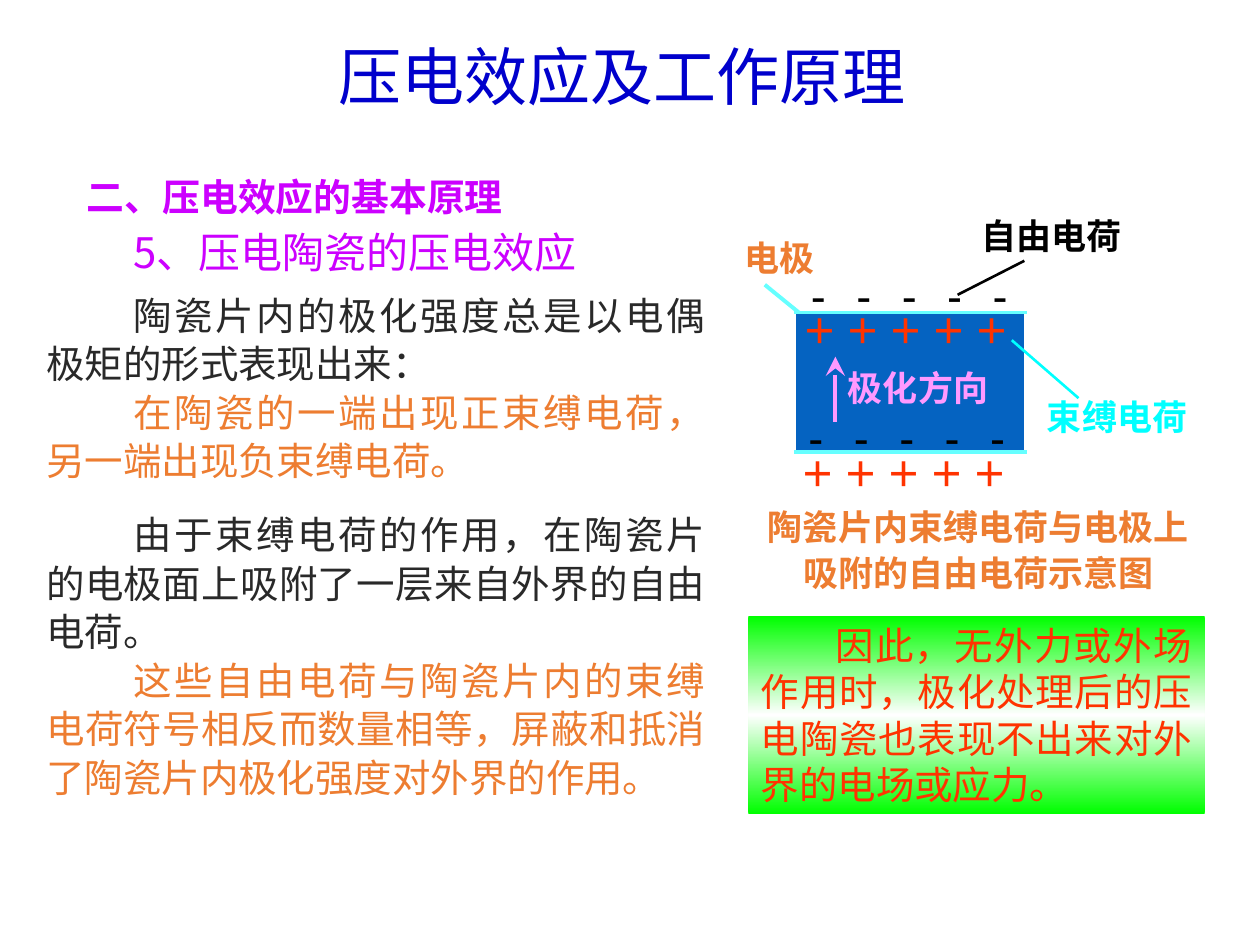
from copy import deepcopy
from dataclasses import dataclass

from lxml.etree import SubElement
from pptx import Presentation
from pptx.dml.color import RGBColor
from pptx.enum.shapes import MSO_CONNECTOR, MSO_SHAPE
from pptx.enum.text import MSO_ANCHOR, MSO_AUTO_SIZE, PP_ALIGN as Align
from pptx.oxml.ns import qn
from pptx.util import Pt

PX = 9144  # EMU per px, 100 px to the inch


@dataclass(frozen=True)
class Theme:
    sans: str = "Noto Sans CJK SC"
    serif: str = "Times New Roman"
    banner: str = "0000CC"
    heading: str = "CC00FF"
    ink: str = "292929"
    accent: str = "ED7D31"
    red: str = "FF3300"
    black: str = "000000"
    white: str = "FFFFFF"
    ceramic: str = "0563C1"
    electrode: str = "66FFFF"
    bound: str = "00FFFF"
    polar: str = "FF99FF"
    green: str = "00FF00"
    banner_size: float = 36
    section_size: float = 21.6
    topic_size: float = 24
    body_size: float = 22
    label_size: float = 20
    charge_size: float = 24


THEME = Theme()


def emu(*lengths):
    return [length * PX for length in lengths]


def rgb(color):
    return RGBColor.from_string(color)


def fill_frame(frame, lines, size, font, bold=None, align=Align.LEFT,
               indent=0, spacing=None, tracking=0):
    """Write (text, color) lines in one style; tracking is points added per letter."""
    frame.word_wrap = True
    for i, (text, color) in enumerate(lines):
        para = frame.paragraphs[0] if i == 0 else frame.add_paragraph()
        para.alignment = align
        para.line_spacing = spacing
        props = para._p.get_or_add_pPr()
        props.set("marL", "0")
        props.set("indent", str(indent * PX))
        run = para.add_run()
        run.text = text
        run.font.size, run.font.bold, run.font.name = Pt(size), bold, font
        run.font.color.rgb = rgb(color)
        run_props = run._r.get_or_add_rPr()
        if tracking:
            run_props.set("spc", str(tracking * 100))
        if font == THEME.sans:
            SubElement(run_props, qn("a:ea"), typeface=font)


def add_text(slide, box, lines, size, font, inset=True, **style):
    frame = slide.shapes.add_textbox(*emu(*box)).text_frame
    if not inset:
        frame.margin_left = frame.margin_right = 0
        frame.margin_top = frame.margin_bottom = 0
    fill_frame(frame, lines, size, font, **style)


def add_line(slide, start, end, color, width, arrow=False):
    line = slide.shapes.add_connector(MSO_CONNECTOR.STRAIGHT, *emu(*start, *end))
    line.line.color.rgb = rgb(color)
    line.line.width = Pt(width)
    if arrow:
        SubElement(line.line._get_or_add_ln(), qn("a:tailEnd"),
                   type="stealth", w="lg", len="lg")
    SubElement(line._element.spPr, qn("a:effectLst"))


def add_rect(slide, box):
    rect = slide.shapes.add_shape(MSO_SHAPE.RECTANGLE, *emu(*box))
    rect.shadow.inherit = False
    return rect


def headings(slide, x, y):
    add_text(slide, (x + 71, y, 803, 70), [("压电效应及工作原理 ", THEME.banner)],
             THEME.banner_size, THEME.serif, align=Align.CENTER)
    section = slide.shapes.title
    section.left, section.top, section.width, section.height = emu(x + 32, y + 114, 898, 39)
    frame = section.text_frame
    frame.auto_size = MSO_AUTO_SIZE.NONE
    frame.vertical_anchor = MSO_ANCHOR.MIDDLE
    fill_frame(frame, [("二、压电效应的基本原理", THEME.heading)], THEME.section_size,
               THEME.sans, bold=True, spacing=0.85)
    add_text(slide, (x, y + 144, 575, 56), [("5、压电陶瓷的压电效应", THEME.heading)],
             THEME.topic_size, THEME.sans, align=Align.JUSTIFY, indent=69, spacing=1.15)


def explanation(slide, box, fact, consequence):
    add_text(slide, box, [(fact, THEME.ink), (consequence, THEME.accent)],
             THEME.body_size, THEME.sans, align=Align.JUSTIFY, indent=69, spacing=1.05)


def charge_diagram(slide, x, y):
    """Polarised ceramic plate between two electrodes, with its charges."""
    def at(dx, dy):
        return x + dx, y + dy

    def label(dx, dy, width, height, text, color):
        add_text(slide, (*at(dx, dy), width, height), [(text, color)], THEME.label_size,
                 THEME.serif, inset=False, bold=True, align=Align.JUSTIFY)

    plate = add_rect(slide, (*at(39, 78), 184, 112))
    plate.fill.solid()
    plate.fill.fore_color.rgb = rgb(THEME.ceramic)
    plate.line.color.rgb = rgb(THEME.white)
    plate.line.width = Pt(2.25)

    label(82, 121, 143, 40, "极化方向", THEME.polar)
    add_line(slide, at(72, 165), at(72, 113), THEME.polar, 2.25, arrow=True)
    label(188, 0, 115, 47, "自由电荷", THEME.black)
    label(240, 144, 117, 45, "束缚电荷", THEME.bound)
    label(0, 18, 79, 45, "电极", THEME.accent)
    add_line(slide, at(222, 37), at(169, 64), THEME.black, 1.5)
    add_line(slide, at(43, 78), at(16, 56), THEME.electrode, 2.25)
    add_line(slide, at(212, 100), at(265, 146), THEME.bound, 1.5)

    for dx, dy in ((0, 0), (-2, 113)):
        add_text(slide, (*at(53 + dx, 43 + dy), 206, 48),
                 [(" ".join("-" * 5), THEME.black)], THEME.charge_size, THEME.serif,
                 inset=False, bold=True, tracking=6)
        add_text(slide, (*at(46 + dx, 76 + dy), 193, 40),
                 [(" ".join("＋" * 5), THEME.red)], THEME.label_size, THEME.serif,
                 inset=False, bold=True)
    for dy in (78, 189):
        add_line(slide, at(39, dy), at(224, dy), THEME.electrode, 2.25)

    caption = ("陶瓷片内束缚电荷与电极上", "吸附的自由电荷示意图")
    add_text(slide, (*at(5, 228), 361, 76), [(line, THEME.accent) for line in caption],
             THEME.label_size, THEME.serif, inset=False, bold=True,
             align=Align.CENTER, spacing=1.1)


def conclusion(slide, box):
    panel = add_rect(slide, box)
    panel.line.fill.background()
    panel.fill.gradient()
    panel.fill.gradient_angle = 90
    stops = panel._element.spPr.find(".//" + qn("a:gsLst"))
    stops.append(deepcopy(stops[0]))
    for i, color in enumerate((THEME.green, THEME.white, THEME.green)):
        stop = panel.fill.gradient_stops[i]
        stop.position = i / 2
        stop.color.rgb = rgb(color)
    panel.text_frame.vertical_anchor = MSO_ANCHOR.TOP
    text = "因此，无外力或外场作用时，极化处理后的压电陶瓷也表现不出来对外界的电场或应力。"
    fill_frame(panel.text_frame, [(text, THEME.red)], THEME.body_size, THEME.sans,
               align=Align.JUSTIFY, indent=59)


def main():
    deck = Presentation()
    deck.slide_width, deck.slide_height = emu(1000, 750)
    slide = deck.slides.add_slide(deck.slide_layouts[5])
    headings(slide, 27, 25)
    explanation(slide, (27, 225, 543, 164),
                "陶瓷片内的极化强度总是以电偶极矩的形式表现出来：",
                "在陶瓷的一端出现正束缚电荷，另一端出现负束缚电荷。")
    explanation(slide, (27, 399, 543, 241),
                "由于束缚电荷的作用，在陶瓷片的电极面上吸附了一层来自外界的自由电荷。",
                "这些自由电荷与陶瓷片内的束缚电荷符号相反而数量相等，"
                "屏蔽和抵消了陶瓷片内极化强度对外界的作用。")
    charge_diagram(slide, 591, 170)
    conclusion(slide, (594, 489, 362, 157))
    deck.save("out.pptx")


if __name__ == "__main__":
    main()
